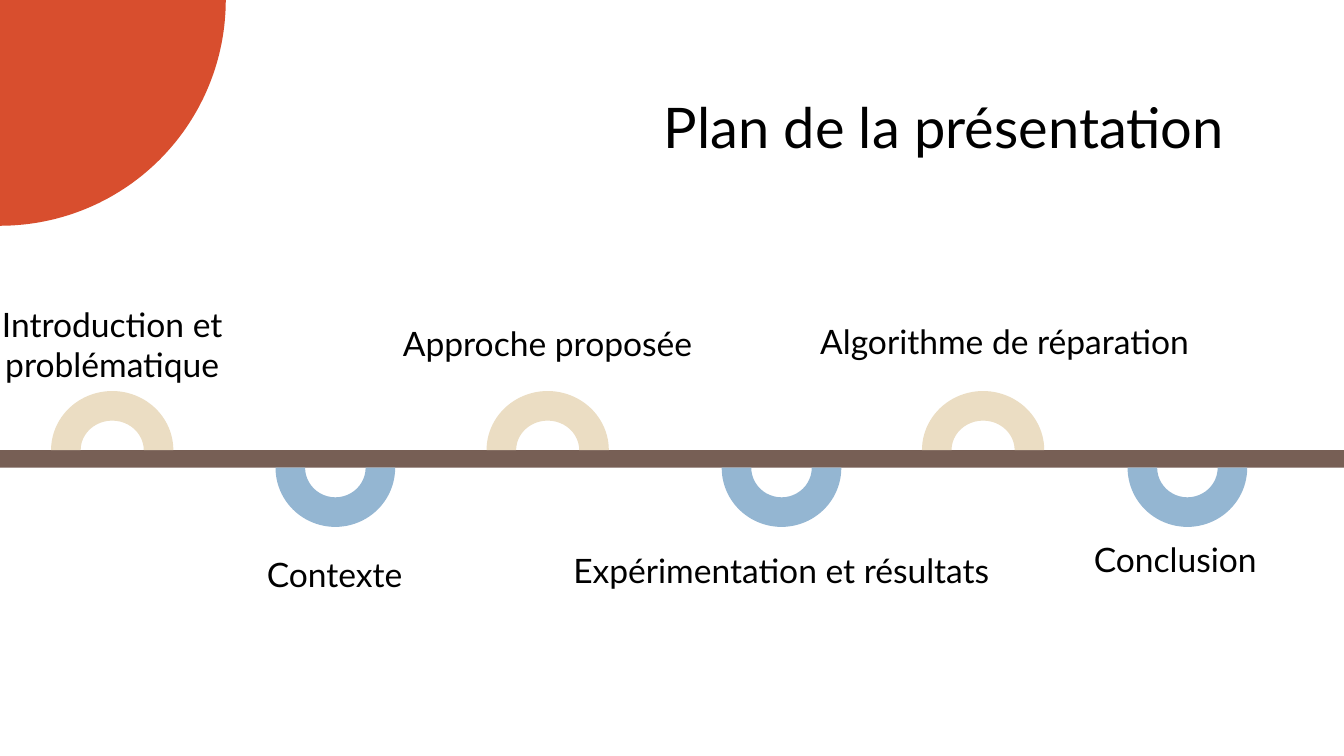
from math import cos, pi, sin

from pptx import Presentation
from pptx.dml.color import RGBColor
from pptx.enum.shapes import MSO_SHAPE
from pptx.enum.text import MSO_ANCHOR, MSO_AUTO_SIZE, PP_ALIGN
from pptx.util import Inches, Pt

RECTANGLE, BLOCK_ARC = MSO_SHAPE.RECTANGLE, MSO_SHAPE.BLOCK_ARC
CENTER, RIGHT = PP_ALIGN.CENTER, PP_ALIGN.RIGHT
TOP, NO_FIT = MSO_ANCHOR.TOP, MSO_AUTO_SIZE.NONE

# Content: wording, arc left, then label left, top, width, height
TITLE = "Plan de la présentation"
STEPS = [
    ("Introduction et problématique", 0.38, -0.51, 2.16, 2.69, 0.43),
    ("Contexte", 2.05, 0.7, 4.02, 3.58, 0.43),
    ("Approche proposée", 3.62, 2.34, 2.3, 3.47, 0.43),
    ("Expérimentation et résultats", 5.37, 4.08, 3.99, 3.47, 0.88),
    ("Algorithme de réparation", 6.86, 5.74, 2.29, 3.47, 0.43),
    ("Conclusion", 8.39, 7.01, 3.91, 3.47, 0.88),
]

# Style
PAGE_WIDTH = 10
PAGE_HEIGHT = PAGE_WIDTH * 9 / 16
FONT = "Lato"
BLACK, ORANGE, BROWN, SAND, BLUE = "000000", "D84E2E", "775F55", "EBDDC3", "94B6D2"
# Arc colour, top, width, rotation: above and below the line in turn
ARC_STYLES = [(SAND, 2.91, 0.91, 0), (BLUE, 3.04, 0.89, 180)]
ARC_HEIGHT = 0.88
DISC_RADIUS = 1.68
DISC_SEGMENTS = 90


def color(hex_value):
    return RGBColor.from_string(hex_value)


def paint(shape, hex_value):
    shape.shadow.inherit = False
    shape.fill.solid()
    shape.fill.fore_color.rgb = color(hex_value)
    shape.line.fill.background()


def write(box, text, size, align):
    frame = box.text_frame
    frame.word_wrap = True
    frame.auto_size = NO_FIT
    frame.vertical_anchor = TOP
    frame.margin_left = frame.margin_right = Inches(0.1)
    frame.margin_top = frame.margin_bottom = Inches(0.1)
    para = frame.paragraphs[0]
    para.alignment = align
    para.line_spacing = 1.0
    span = para.add_run()
    span.text = text
    span.font.name = FONT
    span.font.size = Pt(size)
    span.font.color.rgb = color(BLACK)
    return para


deck = Presentation()
deck.slide_width, deck.slide_height = Inches(PAGE_WIDTH), Inches(PAGE_HEIGHT)
page = deck.slides.add_slide(deck.slide_layouts[5])
shapes = page.shapes

# Quarter disc in the corner
angles = [i * pi / 2 / DISC_SEGMENTS for i in range(DISC_SEGMENTS + 1)]
rim = [(Inches(DISC_RADIUS * cos(a)), Inches(DISC_RADIUS * sin(a))) for a in angles]
builder = shapes.build_freeform(0, 0)
builder.add_line_segments(rim, close=True)
paint(builder.convert_to_shape(), ORANGE)

# Title
title = shapes.title
title.left, title.top = Inches(4), Inches(0.59)
title.width, title.height = Inches(5.21), Inches(0.63)
write(title, TITLE, 30, RIGHT)

# Timeline
line = shapes.add_shape(RECTANGLE, 0, Inches(3.35), Inches(PAGE_WIDTH), Inches(0.13))
paint(line, BROWN)

# Steps: arc and label
for number, (text, arc_left, left, top, width, height) in enumerate(STEPS):
    fill, arc_top, arc_width, rotation = ARC_STYLES[number % 2]
    arc = shapes.add_shape(BLOCK_ARC, Inches(arc_left), Inches(arc_top),
                           Inches(arc_width), Inches(ARC_HEIGHT))
    arc.rotation = rotation
    paint(arc, fill)

    label = shapes.add_textbox(Inches(left), Inches(top), Inches(width), Inches(height))
    write(label, text, 18, CENTER).space_after = Pt(16)

deck.save("out.pptx")
